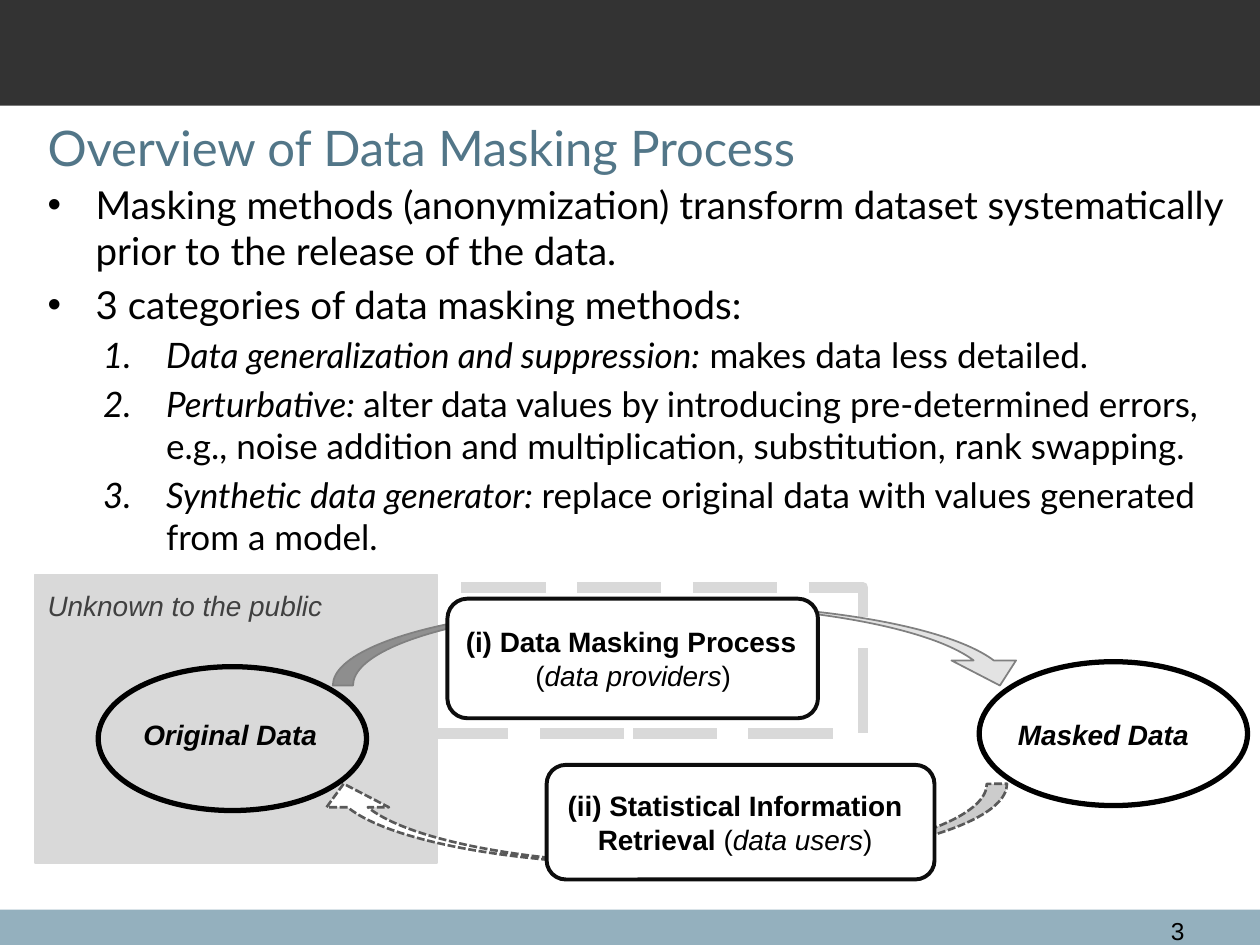
from copy import deepcopy
from lxml import etree
from pptx import Presentation
from pptx.dml.color import RGBColor
from pptx.enum import dml, shapes, text
from pptx.oxml import ns
from pptx.util import Cm, Pt

BLACK = RGBColor(0x00, 0x00, 0x00)
WHITE = RGBColor(0xFF, 0xFF, 0xFF)
INK = RGBColor(0x0D, 0x0D, 0x0D)
CHARCOAL = RGBColor(0x33, 0x33, 0x33)
GREY_TEXT = RGBColor(0x40, 0x40, 0x40)
DASH_GREY = RGBColor(0x59, 0x59, 0x59)
MID_GREY = RGBColor(0x80, 0x80, 0x80)
PALE_GREY = RGBColor(0xD9, 0xD9, 0xD9)
FOOTER_BLUE = RGBColor(0x94, 0xB0, 0xBE)
TITLE_BLUE = RGBColor(0x52, 0x76, 0x88)
GRADIENT = [
    (0, RGBColor(0xE3, 0xE3, 0xE3)),
    (0.38, RGBColor(0xE3, 0xE3, 0xE3)),
    (0.6, RGBColor(0xBF, 0xBF, 0xBF)),
    (0.97, RGBColor(0xB2, 0xB2, 0xB2)),
]
SHAPE = shapes.MSO_SHAPE
DASH = dml.MSO_LINE
LEFT, CENTER, RIGHT = text.PP_ALIGN.LEFT, text.PP_ALIGN.CENTER, text.PP_ALIGN.RIGHT

prs = Presentation()
prs.slide_width, prs.slide_height = Cm(25.4), Cm(19.05)
s = prs.slides.add_slide(prs.slide_layouts[6])


def add_box(kind, at, fill=None, line=None, width=1, dash=None):
    sp = s.shapes.add_shape(kind, *map(Cm, at))
    sp.shadow.inherit = False
    if fill is None:
        sp.fill.background()
    else:
        sp.fill.solid()
        sp.fill.fore_color.rgb = fill
    if line is None:
        sp.line.fill.background()
    else:
        sp.line.color.rgb = line
        sp.line.width = Pt(width)
        sp.line.dash_style = dash
    return sp


def add_text(at, paras, size=16, font="Arial", color=BLACK):
    tf = s.shapes.add_textbox(*map(Cm, at)).text_frame
    tf.word_wrap = True
    for i, (align, runs) in enumerate(paras):
        p = tf.paragraphs[0] if i == 0 else tf.add_paragraph()
        p.alignment = align
        for words, style in runs:
            r = p.add_run()
            r.text = words
            r.font.name, r.font.size = font, Pt(size)
            r.font.color.rgb = color
            r.font.bold, r.font.italic = "b" in style, "i" in style
    return tf


add_box(SHAPE.RECTANGLE, (0, 18.34, 25.4, 0.71), FOOTER_BLUE)
add_box(SHAPE.RECTANGLE, (0, 0, 25.4, 2.13), CHARCOAL)
title = add_text((0.71, 2.13, 24.21, 1.65),
                 [(LEFT, [("Overview of Data Masking Process", "")])], 28, "Lato", TITLE_BLUE)
title.vertical_anchor = text.MSO_ANCHOR.MIDDLE
add_text((22.5, 18.34, 1.63, 0.61), [(RIGHT, [("3", "")])], 14)

add_box(SHAPE.RECTANGLE, (0.71, 11.58, 8.1, 5.82), PALE_GREY, PALE_GREY)
add_box(SHAPE.RECTANGLE, (7.75, 11.84, 9.65, 2.95), None, PALE_GREY, 6, DASH.LONG_DASH)
add_text((0.71, 11.73, 8.03, 0.86), [(LEFT, [("Unknown to the public", "i")])], color=GREY_TEXT)

back = add_box(SHAPE.CURVED_DOWN_ARROW, (6.3, 15.8, 14, 1.63), WHITE, DASH_GREY, 1.5, DASH.SQUARE_DOT)
back.rotation = 180
forth = add_box(SHAPE.CURVED_DOWN_ARROW, (6.71, 12.19, 14.1, 1.63), WHITE, MID_GREY)
for arrow, values in ((back, (0.25, 0.77, 0.29)), (forth, (0.25, 0.8, 0.31))):
    for i, value in enumerate(values):
        arrow.adjustments[i] = value
forth.fill.gradient()
forth.fill.gradient_angle = 170
stop_list = forth.element.spPr.find(".//" + ns.qn("a:gsLst"))
for gs in list(stop_list):
    stop_list.append(deepcopy(gs))
for stop, (position, color) in zip(forth.fill.gradient_stops, GRADIENT):
    stop.position, stop.color.rgb = position, color

for at, label_at, label in (
    ((1.98, 13.44, 5.41, 2.9), (2.64, 14.35, 4.6, 0.86), "Original Data"),
    ((19.74, 13.34, 5.41, 2.9), (20.27, 14.35, 4.29, 0.94), "Masked Data"),
):
    add_box(SHAPE.OVAL, at, None, BLACK, 3)
    add_text(label_at, [(LEFT, [(label, "bi")])])

for at, label_at, paras in (
    ((9.02, 12.07, 7.47, 2.41), (9.14, 12.47, 7.25, 1.5), [
        (LEFT, [("(i) Data Masking Process", "b")]),
        (CENTER, [("(", ""), ("data providers", "i"), (")", "")]),
    ]),
    ((11.02, 15.42, 7.82, 2.31), (11.1, 15.77, 7.44, 1.5), [
        (CENTER, [("(ii) Statistical Information", "b")]),
        (CENTER, [("Retrieval ", "b"), ("(", ""), ("data users", "i"), (")", "")]),
    ]),
):
    add_box(SHAPE.ROUNDED_RECTANGLE, at, WHITE, INK, 2.25)
    add_text(label_at, paras)

body = add_text((0.71, 3.53, 24.21, 15.01), [
    (LEFT, [("Masking methods (anonymization) transform dataset systematically "
             "prior to the release of the data.", "")]),
    (LEFT, [("3 categories of data masking methods:", "")]),
    (LEFT, [("Data generalization and suppression:", "i"), (" makes data less detailed.", "")]),
    (LEFT, [("Perturbative: ", "i"),
            ("alter data values by introducing pre-determined errors, e.g., noise addition "
             "and multiplication, substitution, rank swapping.", "")]),
    (LEFT, [("Synthetic data generator: ", "i"),
            ("replace original data with values generated from a model.", "")]),
], 22, "Lato")
for i, p in enumerate(body.paragraphs):
    numbered = i >= 2
    p.level = int(numbered)
    p.space_before = Pt(4)
    pPr = p._p.get_or_add_pPr()
    pPr.set("marL", str(Cm(2.39 if numbered else 0.97)))
    pPr.set("indent", str(-Cm(1.27 if numbered else 0.97)))
    if numbered:
        etree.SubElement(pPr, ns.qn("a:buFont"), typeface="+mj-lt")
        etree.SubElement(pPr, ns.qn("a:buAutoNum"), type="arabicPeriod")
        for r in p.runs:
            r.font.size = Pt(20)
    else:
        etree.SubElement(pPr, ns.qn("a:buFont"), typeface="Arial")
        etree.SubElement(pPr, ns.qn("a:buChar"), char="•")

prs.save("out.pptx")
